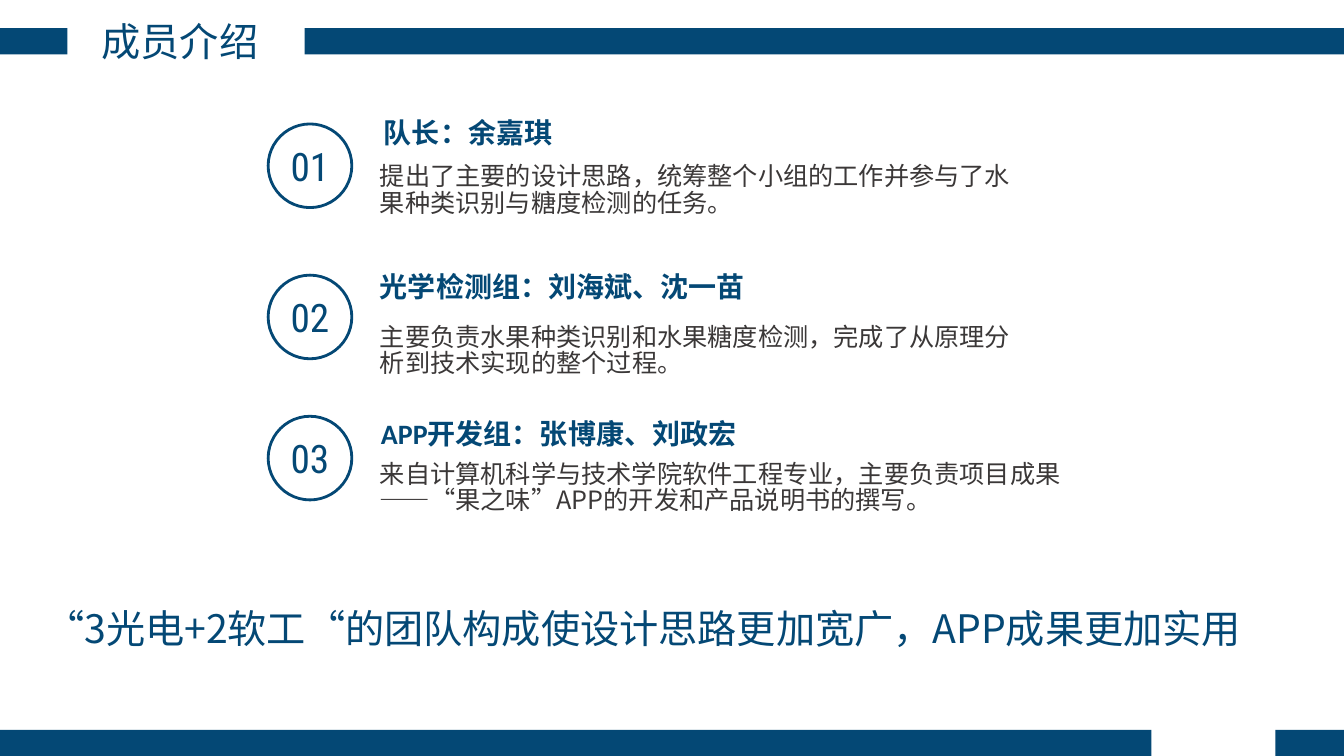
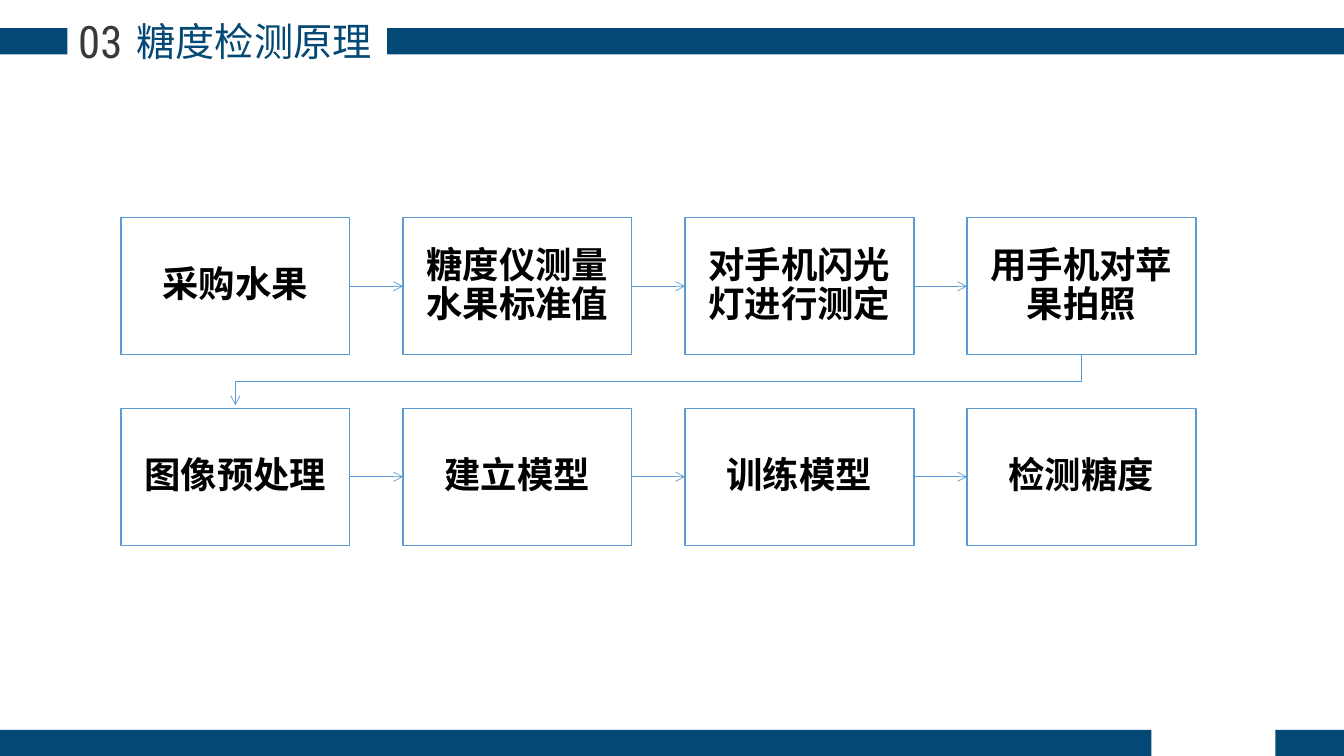
import pptx
import pptx.util
import pptx.dml.color
import pptx.enum.shapes
import pptx.enum.text
import pptx.oxml.ns
from lxml import etree

Inches, Pt = pptx.util.Inches, pptx.util.Pt
SHAPES = pptx.enum.shapes.MSO_SHAPE
ALIGN = pptx.enum.text.PP_ALIGN
ANCHOR = pptx.enum.text.MSO_ANCHOR
qn = pptx.oxml.ns.qn

COLOURS = {"navy": "044875", "grey": "3B3838", "flow": "5B9BD5",
           "white": "FFFFFF", "black": "000000"}
CJK, LATIN, DIGITS = "Noto Sans CJK SC", "Calibri", "Roboto Condensed"
SLIDE_W, SLIDE_H, BAND_H = 13.33, 7.5, 0.26

# Content: circle top, heading (left, top, text), duty (top, width, text)
MEMBERS = [
    ("01", 1.23, (3.71, 1.1, "队长：余嘉琪"),
     (1.58, 6.62, "提出了主要的设计思路，统筹整个小组的工作并参与了水果种类识别与糖度检测的任务。")),
    ("02", 2.73, (3.67, 2.62, "光学检测组：刘海斌、沈一苗"),
     (3.17, 6.62, "主要负责水果种类识别和水果糖度检测，完成了从原理分析到技术实现的整个过程。")),
    ("03", 4.13, (3.68, 4.08, "APP开发组：张博康、刘政宏"),
     (4.53, 7, "来自计算机科学与技术学院软件工程专业，主要负责项目成果——“果之味”APP的开发和产品说明书的撰写。")),
]
TEAM_SUMMARY = "“3光电+2软工“的团队构成使设计思路更加宽广，APP成果更加实用"
STEPS = [
    ["采购水果", "糖度仪测量水果标准值", "对手机闪光灯进行测定", "用手机对苹果拍照"],
    ["图像预处理", "建立模型", "训练模型", "检测糖度"],
]


def rgb(name):
    return pptx.dml.color.RGBColor.from_string(COLOURS[name])


def write(frame, text, size, font, colour, bold=False, align=ALIGN.LEFT, spacing=None):
    frame.word_wrap = True
    paragraph = frame.paragraphs[0]
    paragraph.alignment = align
    if spacing:
        paragraph.line_spacing = spacing
    run = paragraph.add_run()
    run.text = text
    run.font.size, run.font.name, run.font.bold = Pt(size), font, bold
    run.font.color.rgb = rgb(colour)
    east_asian = etree.SubElement(run.font._element, qn("a:ea"))
    east_asian.set("typeface", CJK)


def add_text(slide, left, top, width, height, *text, **style):
    box = slide.shapes.add_textbox(*map(Inches, (left, top, width, height)))
    write(box.text_frame, *text, **style)


def add_shape(slide, kind, left, top, width, height, fill=None, line=None, weight=1):
    shape = slide.shapes.add_shape(kind, *map(Inches, (left, top, width, height)))
    shape.shadow.inherit = False
    if fill:
        shape.fill.solid()
        shape.fill.fore_color.rgb = rgb(fill)
    else:
        shape.fill.background()
    if line:
        shape.line.color.rgb = rgb(line)
        shape.line.width = Pt(weight)
    else:
        shape.line.fill.background()
    return shape


def fill_label(shape, inset, *text, **style):
    frame = shape.text_frame
    frame.margin_left = frame.margin_right = Inches(inset)
    frame.margin_top = frame.margin_bottom = Inches(inset)
    frame.vertical_anchor = ANCHOR.MIDDLE
    write(frame, *text, align=ALIGN.CENTER, **style)


def style_arrow(arrow):
    arrow.line.color.rgb = rgb("flow")
    arrow.line.width = Pt(0.5)
    etree.SubElement(arrow.line._get_or_add_ln(), qn("a:tailEnd")).set("type", "arrow")


def add_framed_slide(deck, title, title_left, title_width, band_left):
    """Blank slide with the shared bands and title."""
    slide = deck.slides.add_slide(deck.slide_layouts[6])
    bands = [(0, 0.67, 0.28), (band_left, SLIDE_W - band_left, 0.28),
             (12.65, 0.68, SLIDE_H - BAND_H), (0, 11.42, SLIDE_H - BAND_H)]
    for left, width, top in bands:
        add_shape(slide, SHAPES.RECTANGLE, left, top, width, BAND_H, fill="navy")
    add_text(slide, title_left, 0.12, title_width, 0.57,
             title, 28, CJK, "navy", align=ALIGN.CENTER)
    return slide


def build_members(deck):
    slide = add_framed_slide(deck, "成员介绍", 0.32, 2.93, 3.02)
    for number, circle_top, heading, duty in MEMBERS:
        circle = add_shape(slide, SHAPES.OVAL, 2.66, circle_top, 0.83, 0.83,
                           line="navy", weight=2)
        fill_label(circle, 0, number, 28, DIGITS, "navy")
        left, top, role = heading
        add_text(slide, left, top, 4.2, 0.44, role, 20, LATIN, "navy", bold=True)
        top, width, task = duty
        add_text(slide, 3.67, top, width, 0.63, task, 18, CJK, "grey", spacing=Pt(19))
    add_text(slide, 0.35, 5.95, 12.35, 1.04, TEAM_SUMMARY, 28, CJK, "navy")


def build_flow(deck):
    slide = add_framed_slide(deck, "糖度检测原理", 0.72, 3.6, 3.84)
    add_text(slide, 0.6, 0.09, 0.79, 0.64, "03", 32, DIGITS, "grey", align=ALIGN.CENTER)

    # Grid of steps
    left, top, width, height = 1.2, 2.16, 2.27, 1.36
    pitch_x, pitch_y = 2.797, 1.89
    rows = []
    for row, labels in enumerate(STEPS):
        boxes = []
        for column, label in enumerate(labels):
            box = add_shape(slide, SHAPES.RECTANGLE, left + column * pitch_x,
                            top + row * pitch_y, width, height, "white", "flow")
            fill_label(box, 0.2, label, 26, LATIN, "black", bold=True, spacing=0.9)
            boxes.append(box)
        rows.append(boxes)

    # Arrows along each row
    for boxes in rows:
        for before, after in zip(boxes, boxes[1:]):
            arrow = slide.shapes.add_connector(
                pptx.enum.shapes.MSO_CONNECTOR.STRAIGHT, 0, 0, 0, 0)
            arrow.begin_connect(before, 3)
            arrow.end_connect(after, 1)
            style_arrow(arrow)
            etree.SubElement(arrow._element.spPr, qn("a:effectLst"))

    # Turn from the end of the first row to the start of the second
    last, first = rows[0][-1], rows[1][0]
    start_x, end_x = last.left + last.width // 2, first.left + first.width // 2
    start_y, end_y = last.top + last.height, first.top - Inches(0.03)
    middle_y = (start_y + first.top) // 2
    outline = slide.shapes.build_freeform(start_x, start_y)
    outline.add_line_segments([(start_x, middle_y), (end_x, middle_y), (end_x, end_y)],
                              close=False)
    turn = outline.convert_to_shape()
    turn.shadow.inherit = False
    turn.fill.background()
    style_arrow(turn)


def main():
    deck = pptx.Presentation()
    deck.slide_width, deck.slide_height = Inches(SLIDE_W), Inches(SLIDE_H)
    build_members(deck)
    build_flow(deck)
    deck.save("out.pptx")


if __name__ == "__main__":
    main()
